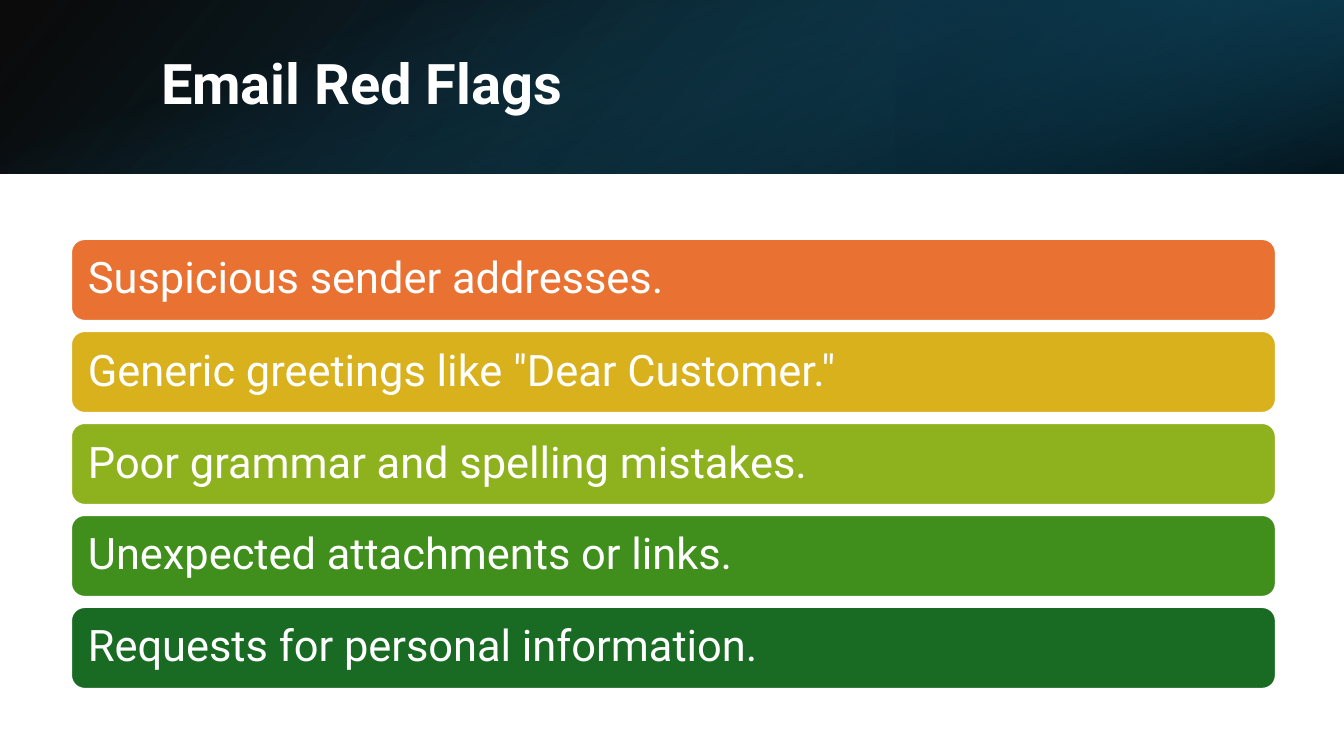
from lxml import etree
from pptx import Presentation
from pptx import util as u
from pptx.dml.color import RGBColor
from pptx.enum import shapes, text
from pptx.oxml import ns

SCALE = 914400 / 100.8  # EMU per px
SLIDE_W, SLIDE_H, BAND_H = 1344, 756, 174
FONT = "Roboto"

WHITE = RGBColor(0xFF, 0xFF, 0xFF)
BLACK = RGBColor(0x00, 0x00, 0x00)
DEEP_TEAL = RGBColor(0x10, 0x48, 0x62)
DARK_TEAL = RGBColor(0x0B, 0x30, 0x41)
TEAL = RGBColor(0x15, 0x60, 0x82)
ORANGE = RGBColor(0xE9, 0x71, 0x32)
GOLD = RGBColor(0xD8, 0xB1, 0x1D)
LIME = RGBColor(0x8E, 0xB2, 0x1E)
GREEN = RGBColor(0x40, 0x8E, 0x1C)
DARK_GREEN = RGBColor(0x19, 0x6B, 0x24)

RED_FLAGS = [
    ("Suspicious sender addresses.", ORANGE),
    ('Generic greetings like "Dear Customer."', GOLD),
    ("Poor grammar and spelling mistakes.", LIME),
    ("Unexpected attachments or links.", GREEN),
    ("Requests for personal information.", DARK_GREEN),
]


def px(n):
    return u.Emu(round(n * SCALE))


def add_box(slide, kind, x, y, w, h):
    sp = slide.shapes.add_shape(kind, px(x), px(y), px(w), px(h))
    sp.shadow.inherit = False
    return sp


def add_gradient(slide, x, y, w, h, stops, angle, rotation=0, flip=False):
    """Stops are (position %, colour, opacity %)."""
    sp = add_box(slide, shapes.MSO_SHAPE.RECTANGLE, x, y, w, h)
    sp.line.fill.background()
    sp.rotation = rotation
    sp_pr = sp._element.spPr
    if flip:
        sp_pr.find(ns.qn("a:xfrm")).set("flipH", "1")
    grad = etree.Element(ns.qn("a:gradFill"))
    stop_list = etree.SubElement(grad, ns.qn("a:gsLst"))
    for pos, color, opacity in stops:
        stop = etree.SubElement(stop_list, ns.qn("a:gs"), pos=str(pos * 1000))
        clr = etree.SubElement(stop, ns.qn("a:srgbClr"), val=str(color))
        etree.SubElement(clr, ns.qn("a:alpha"), val=str(opacity * 1000))
    etree.SubElement(grad, ns.qn("a:lin"), ang=str(angle * 60000), scaled="0")
    sp_pr.find(ns.qn("a:prstGeom")).addnext(grad)


def write_text(tf, words, size, bold=False):
    tf.word_wrap = True
    tf.auto_size = text.MSO_AUTO_SIZE.NONE
    tf.vertical_anchor = text.MSO_ANCHOR.MIDDLE
    p = tf.paragraphs[0]
    p.text = words
    p.alignment = text.PP_ALIGN.LEFT
    p.line_spacing = 0.9
    p.font.name = FONT
    p.font.size = u.Pt(size)
    p.font.bold = bold
    p.font.color.rgb = WHITE


def set_title(slide, words):
    title = slide.shapes.title
    title.left, title.top, title.width, title.height = map(px, (151, 38, 1107, 97))
    write_text(title.text_frame, words, 40, bold=True)


def add_bar(slide, y, words, color):
    sp = add_box(slide, shapes.MSO_SHAPE.ROUNDED_RECTANGLE, 71, y, 1205, 82)
    sp.fill.solid()
    sp.fill.fore_color.rgb = color
    sp.line.color.rgb = WHITE
    sp.line.width = u.Pt(1.5)
    tf = sp.text_frame
    tf.margin_left = tf.margin_right = px(13)
    write_text(tf, words, 31)


def main():
    prs = Presentation()
    prs.slide_width, prs.slide_height = px(SLIDE_W), px(SLIDE_H)
    slide = prs.slides.add_slide(prs.slide_layouts[5])

    # Header band: three layered gradients
    add_gradient(slide, 0, 0, SLIDE_W, BAND_H,
                 [(0, BLACK, 96), (100, DEEP_TEAL, 100)], 140, flip=True)
    add_gradient(slide, 896, 0, 448, BAND_H,
                 [(19, DARK_TEAL, 68), (100, TEAL, 79)], 320, 180, flip=True)
    offset = (SLIDE_W - BAND_H) // 2
    add_gradient(slide, offset, -offset, BAND_H, SLIDE_W,
                 [(23, TEAL, 0), (99, BLACK, 74)], 340, 90)

    # Title, moved in front of the band
    set_title(slide, "Email Red Flags")
    slide.shapes._spTree.append(slide.shapes.title._element)

    # Red flag bars
    for i, (words, color) in enumerate(RED_FLAGS):
        add_bar(slide, 239 + 92 * i, words, color)

    prs.save("out.pptx")


if __name__ == "__main__":
    main()
